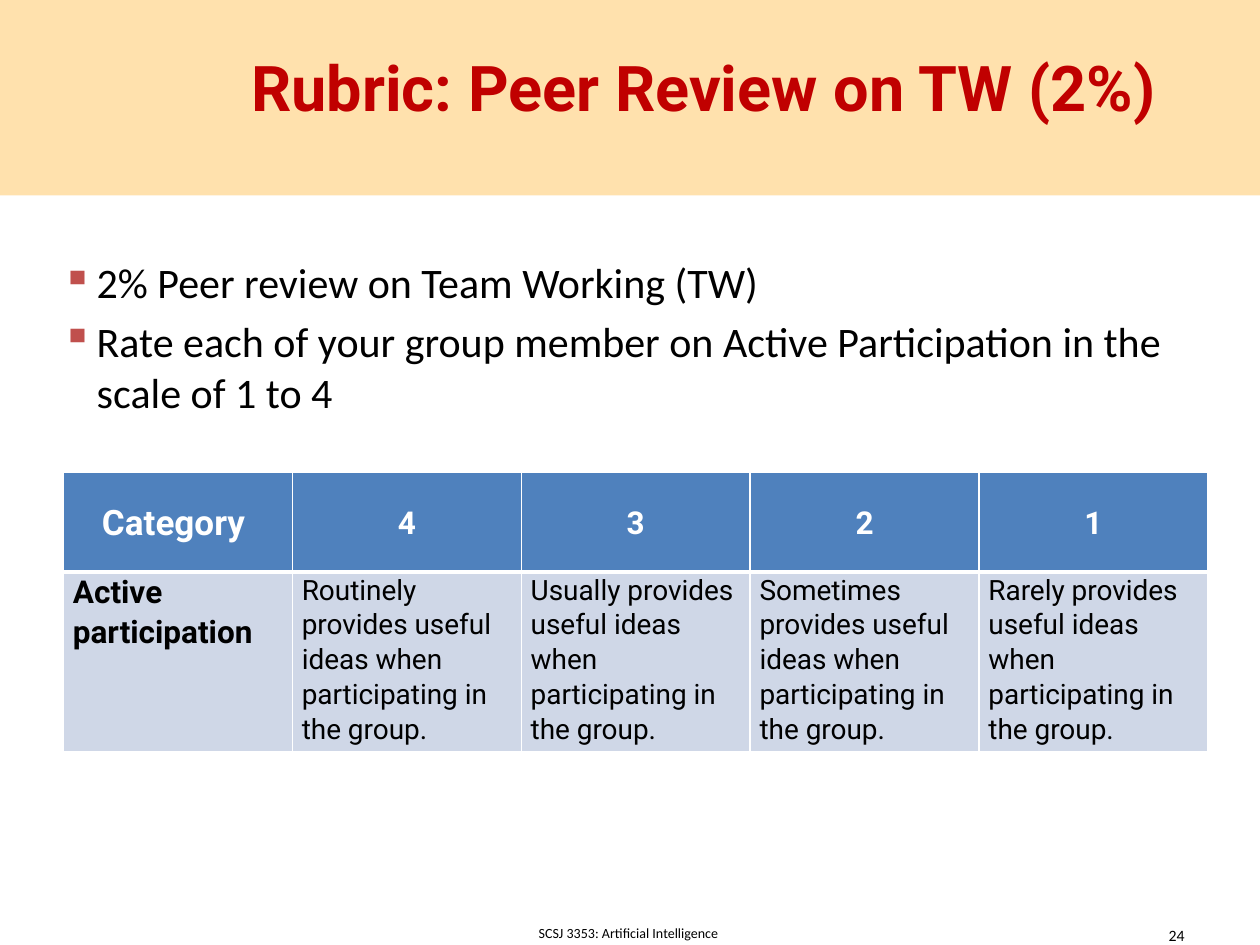
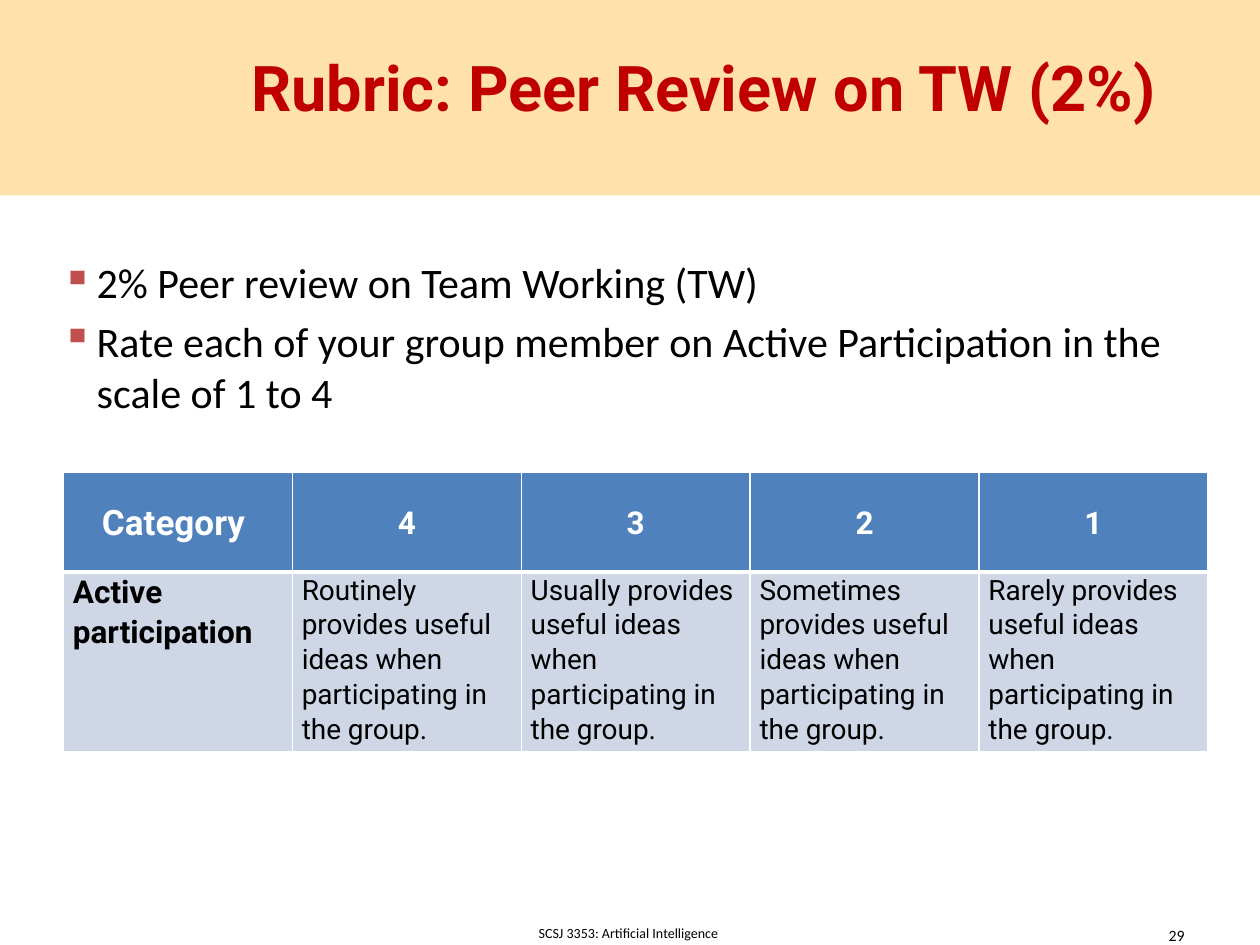
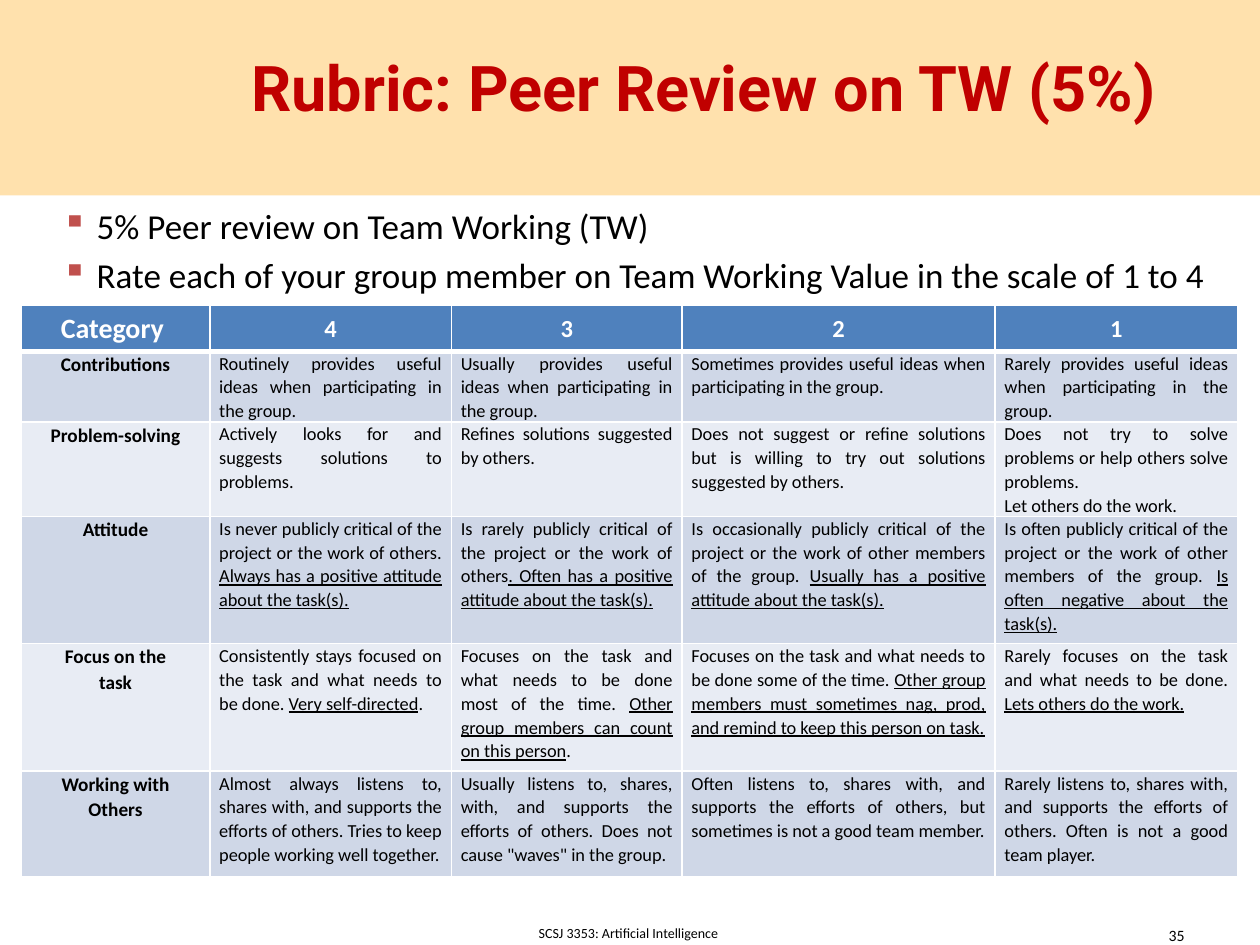
"""Build three peer review rubric slides that share a band, a title and a footer."""
from collections import namedtuple
from dataclasses import dataclass

from lxml import etree
from pptx import Presentation
from pptx import util as u
from pptx.dml.color import RGBColor
from pptx.enum import shapes, text
from pptx.oxml import ns

Box = namedtuple("Box", "left top width height")
LEFT, CENTER, RIGHT, JUSTIFY = (
    text.PP_ALIGN.LEFT, text.PP_ALIGN.CENTER, text.PP_ALIGN.RIGHT, text.PP_ALIGN.JUSTIFY)
MIDDLE, TOP = text.MSO_ANCHOR.MIDDLE, text.MSO_ANCHOR.TOP


@dataclass(frozen=True)
class Theme:
    """Colours, fonts and type sizes of the deck."""
    band: str = "FFE1AD"
    title: str = "C00000"
    ink: str = "000000"
    paper: str = "FFFFFF"
    bullet: str = "C0504D"
    head: str = "4F81BD"
    stripes: tuple = ("CFD7E7", "E8ECF4")
    display_font: str = "Roboto"
    text_font: str = "Calibri"
    title_size: float = 36
    course_size: float = 8
    number_size: float = 9
    rule: float = 1
    head_rule: float = 3
    cell_spacing: float = 1.07


@dataclass(frozen=True)
class Rubric:
    """Type and alignment of one rubric table."""
    font: str
    corner_size: float
    head_size: float
    label_size: float
    body_size: float
    label_align: int
    body_align: int


THEME = Theme()
PAGE = Box(0, 0, 25.4, 19.05)
LARGE = Rubric(THEME.display_font, 20, 18, 18, 16, LEFT, LEFT)
DENSE = Rubric(THEME.text_font, 16, 14, 11, 10.5, CENTER, JUSTIFY)
HEADINGS = ["Category ", "4", "3", "2", "1"]

PARTICIPATION = [
    HEADINGS,
    ["Active participation"] + [
        f"{often} provides useful ideas when participating in the group."
        for often in ("Routinely", "Usually", "Sometimes", "Rarely")],
]

TEAMWORK = [
    HEADINGS,
    ["Contributions",
     "Routinely provides useful ideas when participating in the group. ",
     "Usually provides useful ideas when participating in the group.",
     "Sometimes provides useful ideas when participating in the group.",
     "Rarely provides useful ideas when participating in the group."],
    ["Problem-solving",
     "Actively looks for and suggests solutions to problems.",
     "Refines solutions suggested by others.",
     "Does not suggest or refine solutions but is willing to try out solutions "
     "suggested by others.",
     "Does not try to solve problems or help others solve problems.\n"
     "Let others do the work."],
    ["Attitude",
     "Is never publicly critical of the project or the work of others. "
     "_Always has a positive attitude about the task(s)._",
     "Is rarely publicly critical of the project or the work of others"
     "_. Often has a positive attitude about the task(s)._",
     "Is occasionally publicly critical of the project or the work of other members "
     "of the group. _Usually has a positive attitude about the task(s)._",
     "Is often publicly critical of the project or the work of other members "
     "of the group. _Is often negative about the task(s)._"],
    ["Focus on the\ntask",
     "Consistently stays focused on the task and what needs to be done. "
     "_Very self-directed_.",
     "Focuses on the task and what needs to be done most of the time. "
     "_Other group members can count on this person_.",
     "Focuses on the task and what needs to be done some of the time. "
     "_Other group members must sometimes nag, prod, and remind to keep this person "
     "on task._",
     "Rarely focuses on the task and what needs to be done. _Lets others do the work._"],
    ["Working with\nOthers",
     "Almost always listens to, shares with, and supports the efforts of others. "
     "Tries to keep people working well together.",
     "Usually listens to, shares, with, and supports the efforts of others. "
     "Does not cause \"waves\" in the group.",
     "Often listens to, shares with, and supports the efforts of others, "
     "but sometimes is not a good team member.",
     "Rarely listens to, shares with, and supports the efforts of others. "
     "Often is not a good team player."],
]


def write(frame, words, *, size, font=THEME.text_font, color=THEME.ink, bold=False,
          align=LEFT, spacing=None, gap=0, bullet=None):
    """Fill a frame with one paragraph a line, underlining what stands between underscores."""
    frame.word_wrap = True
    for index, line in enumerate(words.split("\n")):
        para = frame.add_paragraph() if index else frame.paragraphs[0]
        para.alignment = align
        if spacing:
            para.line_spacing = spacing
        if index and gap:
            para.space_before = u.Pt(gap)
        if bullet:
            add_bullet(para, bullet)
        for order, part in enumerate(line.split("_")):
            if not part:
                continue
            span = para.add_run()
            span.text = part
            span.font.size = u.Pt(size)
            span.font.name = font
            span.font.bold = bold
            span.font.underline = order % 2 == 1
            span.font.color.rgb = RGBColor.from_string(color)


def add_bullet(para, mark):
    """Give a paragraph a coloured bullet and a hanging indent."""
    props = para._p.get_or_add_pPr()
    hang = u.Cm(0.7)
    props.set("marL", str(hang))
    props.set("indent", str(-hang))
    tint = etree.SubElement(props, ns.qn("a:buClr"))
    etree.SubElement(tint, ns.qn("a:srgbClr"), val=THEME.bullet)
    etree.SubElement(props, ns.qn("a:buChar"), char=mark)


def add_text(page, box, words, *, anchor=TOP, inset=(0.25, 0.13), **style):
    """Place a text box with the given side and end insets."""
    frame = page.shapes.add_textbox(*map(u.Cm, box)).text_frame
    frame.vertical_anchor = anchor
    frame.margin_left = frame.margin_right = u.Cm(inset[0])
    frame.margin_top = frame.margin_bottom = u.Cm(inset[1])
    write(frame, words, **style)


def add_header(page, box, title):
    """Draw the coloured band with the title inside it."""
    band = page.shapes.add_shape(shapes.MSO_SHAPE.RECTANGLE, *map(u.Cm, box))
    band.shadow.inherit = False
    band.fill.solid()
    band.fill.fore_color.rgb = RGBColor.from_string(THEME.band)
    band.line.fill.background()
    indent = 2.97
    title_box = Box(box.left + indent, box.top + 0.84, box.width - indent, 1.8)
    add_text(page, title_box, title, size=THEME.title_size, font=THEME.display_font,
             color=THEME.title, bold=True, align=CENTER)


def add_footer(page, box, number):
    """Place the course name and the page number in the bottom strip."""
    add_text(page, Box(box.left + 6.86, box.top + 0.05, 11.63, 0.84),
             "SCSJ 3353: Artificial Intelligence", size=THEME.course_size,
             align=CENTER, anchor=MIDDLE)
    add_text(page, Box(box.left + 18.21, box.top, 5.92, box.height), str(number),
             size=THEME.number_size, align=RIGHT, anchor=MIDDLE)


def add_points(page, box, points, size):
    """Place the bulleted introduction."""
    add_text(page, box, "\n".join(points), inset=(0.18, 0.1), size=size,
             gap=size / 5, bullet="▪")


def rule_cell(cell, bottom):
    """Draw the four borders of a cell, the lower one with its own width."""
    props = cell._tc.get_or_add_tcPr()
    widths = {"lnL": THEME.rule, "lnR": THEME.rule, "lnT": THEME.rule, "lnB": bottom}
    for index, (side, width) in enumerate(widths.items()):
        line = etree.Element(ns.qn(f"a:{side}"), w=str(u.Pt(width)))
        fill = etree.SubElement(line, ns.qn("a:solidFill"))
        etree.SubElement(fill, ns.qn("a:srgbClr"), val=THEME.paper)
        props.insert(index, line)


def cell_style(rubric, row, column):
    """Return the text format for a place in the rubric."""
    if row == 0:
        size = rubric.head_size if column else rubric.corner_size
        return dict(size=size, color=THEME.paper, bold=True, align=CENTER)
    if column == 0:
        return dict(size=rubric.label_size, bold=True, align=rubric.label_align)
    return dict(size=rubric.body_size, align=rubric.body_align)


def add_rubric(page, box, rows, shares, heights, rubric):
    """Draw a rubric whose columns divide the box width by shares."""
    table = page.shapes.add_table(len(rows), len(shares), *map(u.Cm, box)).table
    table.first_row = table.horz_banding = False
    for column, share in zip(table.columns, shares):
        column.width = u.Cm(box.width * share / sum(shares))
    for row, (labels, height) in enumerate(zip(rows, heights)):
        table.rows[row].height = u.Cm(height)
        for column, words in enumerate(labels):
            cell = table.cell(row, column)
            cell.margin_left = cell.margin_right = u.Cm(0.19)
            cell.margin_top = cell.margin_bottom = 0
            cell.vertical_anchor = TOP if row else MIDDLE
            cell.fill.solid()
            fill = THEME.stripes[(row - 1) % 2] if row else THEME.head
            cell.fill.fore_color.rgb = RGBColor.from_string(fill)
            rule_cell(cell, THEME.rule if row else THEME.head_rule)
            write(cell.text_frame, words, font=rubric.font, spacing=THEME.cell_spacing,
                  **cell_style(rubric, row, column))


def add_page(deck, box, percent, number):
    """Add a blank page with its header and footer."""
    page = deck.slides.add_slide(deck.slide_layouts[6])
    add_header(page, Box(box.left, box.top, box.width, 3.94),
               f"Rubric: Peer Review on TW ({percent}%)")
    add_footer(page, Box(box.left, box.top + 18.34, box.width, 1.02), number)
    return page


def participation_page(deck, box, number, body_height):
    """Add a page that rates active participation."""
    page = add_page(deck, box, 2, number)
    add_points(page, Box(box.left + 1.07, box.top + 5.08, 24.33, 2.11), [
        "2% Peer review on Team Working (TW)",
        "Rate each of your group member on Active Participation in the scale of 1 to 4",
    ], 24)
    heights = [2, body_height]
    add_rubric(page, Box(box.left + 1.28, box.top + 9.53, 23.07, sum(heights)),
               PARTICIPATION, [1] * len(HEADINGS), heights, LARGE)


def teamwork_page(deck, box, number):
    """Add a page that rates team working in five categories."""
    page = add_page(deck, box, 5, number)
    add_points(page, Box(box.left + 1.07, box.top + 4.02, 24.33, 2.11), [
        "5% Peer review on Team Working (TW)",
        "Rate each of your group member on Team Working Value in the scale of 1 to 4",
    ], 20)
    heights = [0.93, 1.3, 1.73, 2.57, 2.57, 2.13]
    add_rubric(page, Box(box.left + 0.43, box.top + 6.15, 24.52, sum(heights)),
               TEAMWORK, [3.8, 4.87, 4.65, 6.31, 4.89], heights, DENSE)


def main():
    """Build and save the deck."""
    deck = Presentation()
    deck.slide_width, deck.slide_height = u.Cm(PAGE.width), u.Cm(PAGE.height)
    participation_page(deck, PAGE, 24, 3.61)
    participation_page(deck, PAGE, 29, 3.07)
    teamwork_page(deck, PAGE, 35)
    deck.save("out.pptx")


if __name__ == "__main__":
    main()
